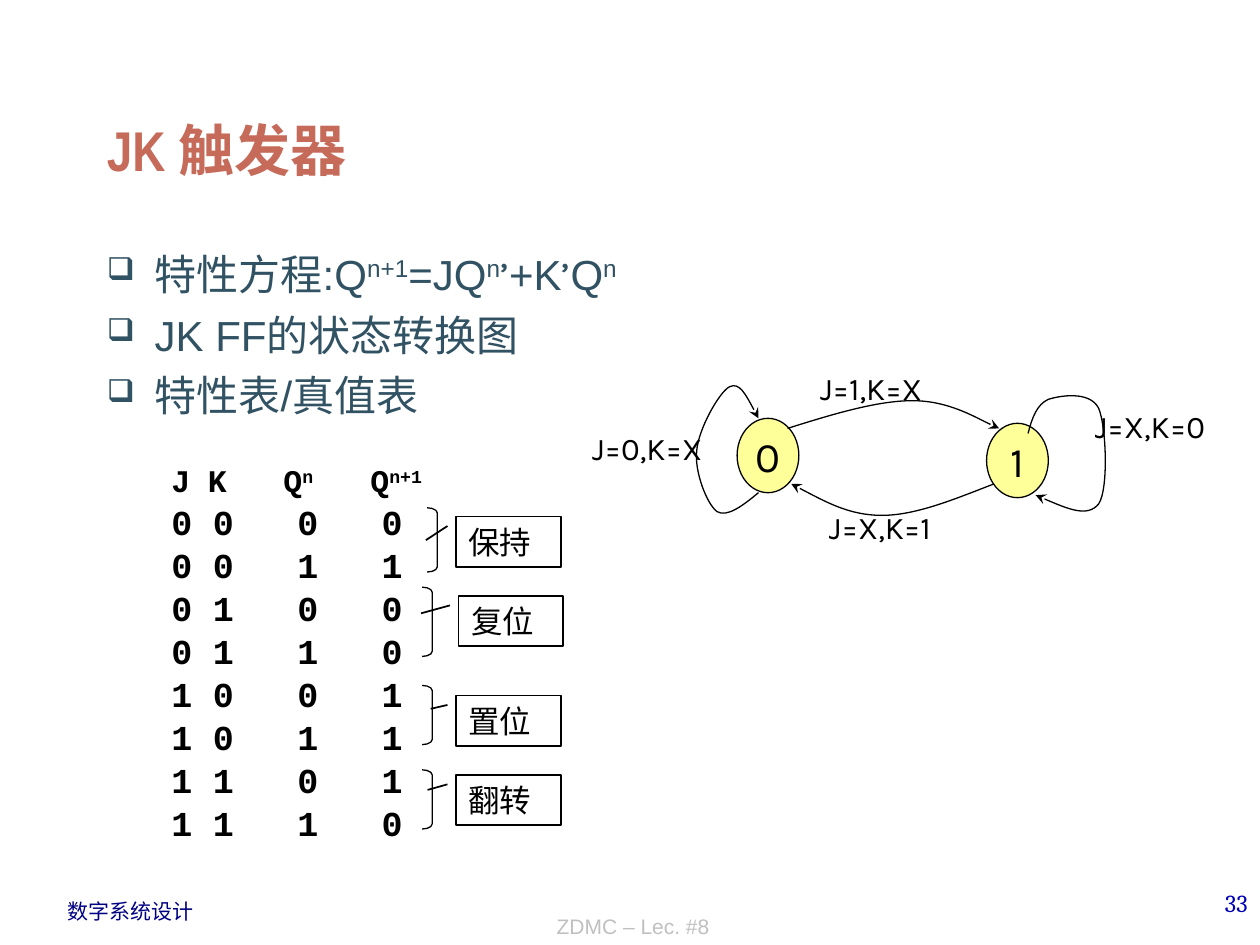
from pptx import Presentation
from pptx.dml.color import RGBColor as RGB
from pptx.enum.shapes import MSO_SHAPE as Kind
from pptx.enum.text import MSO_ANCHOR as Anchor, PP_ALIGN as Align
from pptx.oxml import parse_xml
from pptx.oxml.ns import qn, nsdecls
from pptx.util import Inches, Pt

HUES = {"title": "C66B5A", "body": "315263", "ink": "000000", "node": "FFFF99",
        "navy": "000082", "page": "0000B6", "gray": "C0C0C0"}


class Deck:
    def __init__(self):
        self.prs = Presentation()
        self.prs.slide_width, self.prs.slide_height = Inches(10), Inches(7.5)
        self.slide = self.prs.slides.add_slide(self.prs.slide_layouts[6])
        self.shapes = self.slide.shapes

    def hue(self, name):
        return RGB.from_string(HUES[name])

    def tag(self, body, name, **attrs):
        """Append one drawing element to a parent."""
        node = parse_xml(f"<a:{name} {nsdecls('a')}/>")
        for key, val in attrs.items():
            node.set(key, str(val))
        body.append(node)
        return node

    def words(self, para, text, font, size, hue, bold=False, quote=None):
        """Fill a paragraph; text between ^ marks is raised."""
        for i, part in enumerate(text.split("^")):
            for bit in part.replace("’", "|’|").split("|"):
                if not bit:
                    continue
                run = para.add_run()
                run.text = bit
                if i % 2:
                    run.font._element.set("baseline", "30000")
                if bit == "’" and quote:
                    run.font.name = quote
                    run.font._element.set("lang", "zh-CN")
                    self.tag(run.font._element, "ea", typeface=quote)
        style = para.font
        style.name, style.size, style.bold = font, Pt(size), bold
        style.color.rgb = self.hue(hue)

    def text(self, at, text, font, size, hue, bold=False, align=Align.LEFT,
             anchor=Anchor.TOP, wrap=True):
        frame = self.shapes.add_textbox(*map(Inches, at)).text_frame
        frame.word_wrap, frame.vertical_anchor = wrap, anchor
        para = frame.paragraphs[0]
        para.alignment = align
        self.words(para, text, font, size, hue, bold)

    def bullets(self, at, lines):
        frame = self.shapes.add_textbox(*map(Inches, at)).text_frame
        frame.word_wrap = True
        for i, line in enumerate(lines):
            para = frame.add_paragraph() if i else frame.paragraphs[0]
            if i:
                para.space_before = Pt(6)
            props = para._p.get_or_add_pPr()
            props.set("marL", str(Inches(0.38)))
            props.set("indent", str(-Inches(0.38)))
            tint = self.tag(props, "buClr")
            self.tag(tint, "srgbClr", val=HUES["body"])
            self.tag(props, "buSzPct", val=75000)
            self.tag(props, "buChar", char="❑")
            self.words(para, line, "Arial", 24, "body", quote="Karla")

    def grid(self, at, head, rows):
        """Truth table set as tabbed lines."""
        frame = self.shapes.add_textbox(*map(Inches, at)).text_frame
        frame.word_wrap = False
        frame.margin_left, frame.margin_right = Inches(0.18), Inches(0.02)
        frame.margin_top = frame.margin_bottom = Inches(0.03)
        for i, row in enumerate([head, *rows]):
            para = frame.add_paragraph() if i else frame.paragraphs[0]
            para.line_spacing = Pt(24.6)
            stops = self.tag(para._p.get_or_add_pPr(), "tabLst")
            for stop in (0.33, 1, 1.67) if i else (0.29, 0.89, 1.58):
                self.tag(stops, "tab", pos=Inches(stop), algn="l")
            self.words(para, "\t".join(row), "Courier New", 20 if i else 18,
                       "ink", True)

    def shape(self, kind, at, fill=None, width=0.75):
        item = self.shapes.add_shape(kind, *map(Inches, at))
        self.trim(item, fill, width)
        return item

    def trim(self, item, fill, width):
        item.shadow.inherit = False
        item.line.color.rgb, item.line.width = self.hue("ink"), Pt(width)
        if fill:
            item.fill.solid()
            item.fill.fore_color.rgb = self.hue(fill)
        else:
            item.fill.background()

    def node(self, at, text):
        frame = self.shape(Kind.OVAL, at, "node").text_frame
        frame.word_wrap, frame.vertical_anchor = False, Anchor.MIDDLE
        frame.paragraphs[0].alignment = Align.CENTER
        self.words(frame.paragraphs[0], text, "Karla", 24, "ink")

    def curve(self, start, *points):
        """Arrow of cubic curves, three points to each."""
        form = self.shapes.build_freeform(*map(Inches, start), scale=1.0)
        form.add_line_segments([tuple(map(Inches, p)) for p in points], close=False)
        item = form.convert_to_shape()
        self.trim(item, None, 0.75)
        track = item._element.find(".//" + qn("a:path"))
        for i, step in enumerate(track.findall(qn("a:lnTo"))):
            if i % 3 == 0:
                bend = self.tag(track, "cubicBezTo")
            bend.append(step[0])
            track.remove(step)
        self.tag(item.line._get_or_add_ln(), "tailEnd", type="stealth")

    def brace(self, at):
        self.shape(Kind.RIGHT_BRACKET, at).adjustments[0] = 0.5

    def callout(self, left, top, text, tip):
        item = self.shape(Kind.LINE_CALLOUT_1, (left, top, 0.83, 0.4), width=1)
        for i, val in enumerate((0.188, -0.083, *tip)):
            item.adjustments[i] = val
        frame = item.text_frame
        frame.word_wrap, frame.vertical_anchor = True, Anchor.TOP
        frame.paragraphs[0].alignment = Align.LEFT
        self.words(frame.paragraphs[0], text, "Comic Neue", 18, "ink")


def main():
    deck = Deck()

    # Footer
    deck.text((0.44, 7.08, 1.2, 0.3), "数字系统设计", "Arial", 12, "navy", wrap=False)
    deck.text((7.92, 7, 2.08, 0.5), "33", "Cambria", 14, "page", align=Align.RIGHT)
    deck.text((2.59, 6.99, 4.87, 0.51), "ZDMC – Lec. #8", "Arial", 12, "gray",
              align=Align.CENTER, anchor=Anchor.BOTTOM)

    # Title and bullets
    deck.text((0.75, 0.25, 8.5, 1.25), "JK 触发器", "Arial Narrow", 32, "title",
              bold=True, anchor=Anchor.BOTTOM)
    deck.bullets((0.75, 1.92, 8.5, 4.5), [
        "特性方程:Q^n+1^=JQ^n^’+K’Q^n^", "JK FF的状态转换图", "特性表/真值表"])

    # State diagram
    deck.node((5.85, 3.32, 0.49, 0.59), "0")
    deck.node((7.83, 3.36, 0.49, 0.59), "1")
    deck.curve((6.25, 3.4), (6.6, 3.29), (6.96, 3.18), (7.24, 3.18),
               (7.52, 3.18), (7.81, 3.35), (7.93, 3.4))
    deck.curve((7.89, 3.84), (7.58, 3.96), (7.27, 4.09), (7, 4.09),
               (6.74, 4.09), (6.51, 3.96), (6.28, 3.84))
    deck.curve((6.02, 3.91), (5.9, 4.01), (5.77, 4.11), (5.69, 4.06),
               (5.61, 4), (5.51, 3.74), (5.53, 3.58),
               (5.54, 3.41), (5.71, 3.11), (5.79, 3.07),
               (5.87, 3.03), (5.94, 3.17), (6.02, 3.32))
    deck.curve((8.16, 3.44), (8.19, 3.32), (8.23, 3.21), (8.32, 3.17),
               (8.41, 3.14), (8.65, 3.1), (8.72, 3.24),
               (8.78, 3.38), (8.8, 3.88), (8.72, 4),
               (8.63, 4.11), (8.43, 4.02), (8.22, 3.93))
    for left, top, text in [(6.41, 2.88, "J=1,K=X"), (6.48, 3.98, "J=X,K=1"),
                            (8.59, 3.18, "J=X,K=0"), (4.6, 3.36, "J=0,K=X")]:
        deck.text((left, top, 1.41, 0.4), text, "Karla", 18, "ink")

    # Truth table
    deck.grid((1.18, 3.59, 3.46, 3.34), ["J", "K", "Q^n^", "Q^n+1^"],
              ["0000", "0011", "0100", "0110", "1001", "1011", "1101", "1110"])

    # Brackets and their callouts
    for at in [(3.39, 4.03, 0.08, 0.51), (3.35, 4.66, 0.08, 0.55),
               (3.35, 5.44, 0.08, 0.47), (3.35, 6.11, 0.08, 0.47)]:
        deck.brace(at)
    for left, top, text, tip in [(3.62, 4.1, "保持", (0.469, -0.289)),
                                 (3.64, 4.73, "复位", (0.345, -0.359)),
                                 (3.62, 5.52, "置位", (0.265, -0.243)),
                                 (3.62, 6.15, "翻转", (0.3, -0.273))]:
        deck.callout(left, top, text, tip)

    deck.prs.save("out.pptx")


if __name__ == "__main__":
    main()
